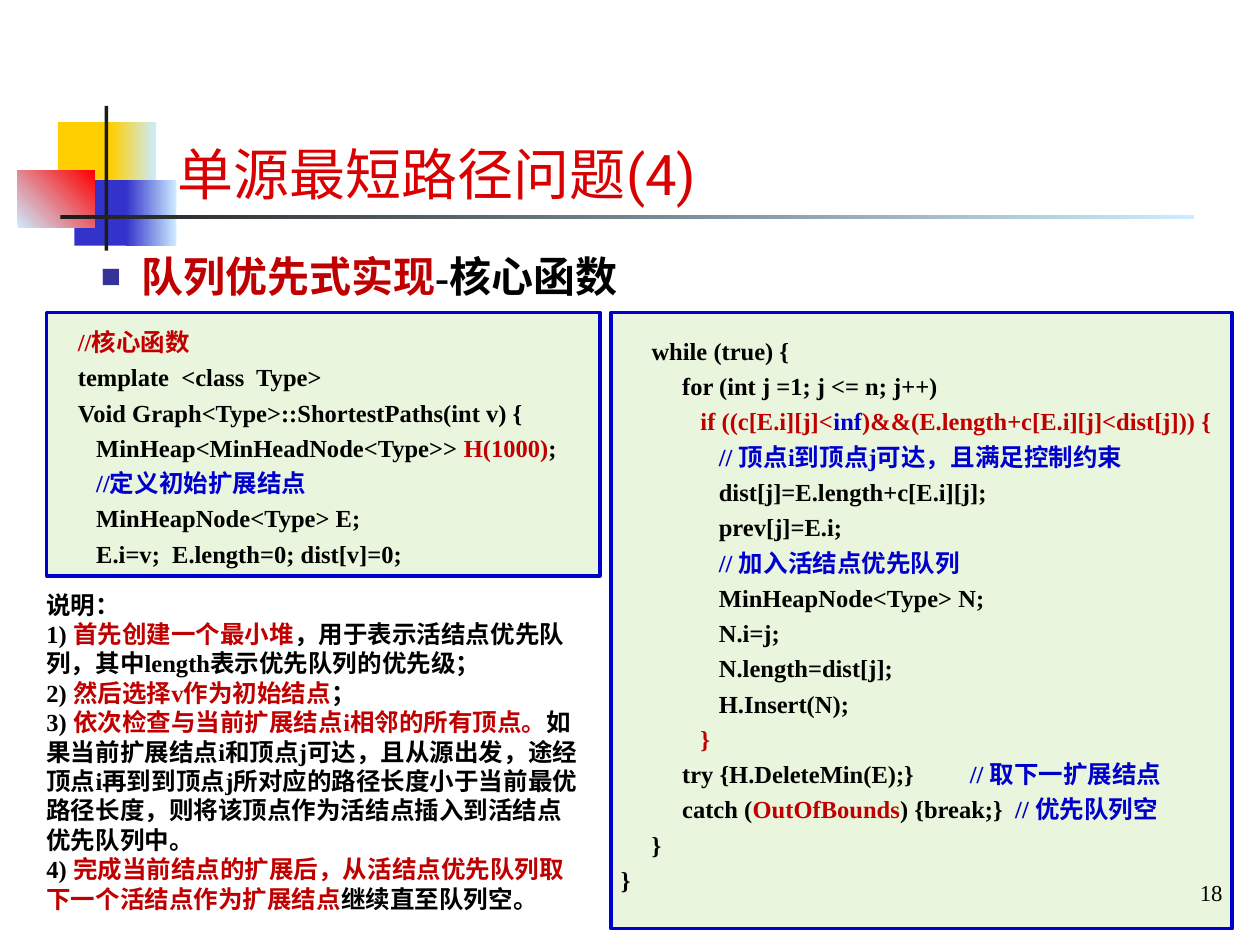
from dataclasses import dataclass
from typing import NamedTuple

from lxml import etree
from pptx import Presentation
from pptx.dml.color import RGBColor
from pptx.enum.lang import MSO_LANGUAGE_ID
from pptx.enum.shapes import MSO_SHAPE
from pptx.enum.text import MSO_ANCHOR, MSO_AUTO_SIZE, PP_ALIGN
from pptx.oxml.ns import qn
from pptx.util import Inches, Pt

RECTANGLE = MSO_SHAPE.RECTANGLE
CHINESE = MSO_LANGUAGE_ID.SIMPLIFIED_CHINESE
GROW, FIXED = MSO_AUTO_SIZE.SHAPE_TO_FIT_TEXT, MSO_AUTO_SIZE.NONE
MIDDLE, BOTTOM = MSO_ANCHOR.MIDDLE, MSO_ANCHOR.BOTTOM
LEFT, RIGHT = PP_ALIGN.LEFT, PP_ALIGN.RIGHT

BLACK = RGBColor(0x00, 0x00, 0x00)
CRIMSON = RGBColor(0xC0, 0x00, 0x00)
TITLE_RED = RGBColor(0xD8, 0x00, 0x00)
RED = RGBColor(0xFF, 0x00, 0x00)
BLUE = RGBColor(0x00, 0x00, 0xCC)
INDIGO = RGBColor(0x33, 0x33, 0xCC)
YELLOW = RGBColor(0xFF, 0xCF, 0x01)
SKY = RGBColor(0xCC, 0xEC, 0xFF)
CHARCOAL = RGBColor(0x1C, 0x1C, 0x1C)
GREEN = RGBColor(0x92, 0xD0, 0x50)

SERIF, SANS = "Times New Roman", "Roboto"
WIDTH, HEIGHT = Inches(10), Inches(7.5)
COLUMN, ROW = WIDTH // 100, HEIGHT // 75


class Area(NamedTuple):
    col: float
    row: float
    cols: float
    rows: float


class Span(NamedTuple):
    text: str
    color: RGBColor = BLACK


@dataclass(frozen=True)
class Block:
    area: Area
    start: RGBColor
    end: RGBColor | None = None
    angle: int = 0


@dataclass(frozen=True)
class TextStyle:
    size: int = 14
    bold: bool = True
    font: str = SERIF
    line_spacing: float = 1.0
    align: PP_ALIGN = LEFT


Lines = list[list[Span]]
CODE = TextStyle(line_spacing=1.2)
NOTES = TextStyle()

DECORATION = [
    Block(Area(4.6, 9.7, 4.8, 5.2), YELLOW),
    Block(Area(8.8, 9.7, 3.6, 5.2), YELLOW, SKY),
    Block(Area(5.9, 14.3, 4.6, 5.2), INDIGO),
    Block(Area(10, 14.3, 4, 5.2), INDIGO, SKY),
    Block(Area(1.4, 13.5, 6.1, 4.6), SKY, RED, 45),
    Block(Area(8.3, 8.4, 0.3, 11.5), CHARCOAL),
    Block(Area(4.8, 17.1, 90, 0.3), CHARCOAL, SKY),
]

SETUP_CODE: Lines = [
    [Span("//核心函数", CRIMSON)],
    [Span("template  <class  Type>")],
    [Span("Void Graph<Type>::ShortestPaths(int v) {")],
    [Span("   MinHeap<MinHeadNode<Type>> "), Span("H(1000)", CRIMSON), Span(";")],
    [Span("   //定义初始扩展结点", BLUE)],
    [Span("   MinHeapNode<Type> E;")],
    [Span("   E.i=v;  E.length=0; dist[v]=0;")],
]

LOOP_CODE: Lines = [
    [Span("     while (true) {")],
    [Span("          for (int j =1; j <= n; j++)")],
    [Span("             if ((c[E.i][j]<", CRIMSON), Span("inf", BLUE),
     Span(")&&(E.length+c[E.i][j]<dist[j])) {", CRIMSON)],
    [Span("                // 顶点i到顶点j可达，且满足控制约束", BLUE)],
    [Span("                dist[j]=E.length+c[E.i][j];")],
    [Span("                prev[j]=E.i;")],
    [Span("                // 加入活结点优先队列", BLUE)],
    [Span("                MinHeapNode<Type> N;")],
    [Span("                N.i=j;")],
    [Span("                N.length=dist[j];")],
    [Span("                H.Insert(N);")],
    [Span("             }", CRIMSON)],
    [Span("          try {H.DeleteMin(E);}        "), Span(" // 取下一扩展结点", BLUE)],
    [Span("          catch ("), Span("OutOfBounds", CRIMSON), Span(") {break;}  "),
     Span("// 优先队列空", BLUE)],
    [Span("     }")],
    [Span("}")],
]

EXPLANATION: Lines = [
    [Span("说明：")],
    [Span("1) "), Span("首先创建一个最小堆", CRIMSON),
     Span("，用于表示活结点优先队列，其中length表示优先队列的优先级；")],
    [Span("2) "), Span("然后选择v作为初始结点", CRIMSON), Span("；")],
    [Span("3) "), Span("依次检查与当前扩展结点i相邻的所有顶点。", CRIMSON),
     Span("如果当前扩展结点i和顶点j可达，且从源出发，途经顶点i再到到顶点j所对应的路径长度"
          "小于当前最优路径长度，则将该顶点作为活结点插入到活结点优先队列中。")],
    [Span("4) "), Span("完成当前结点的扩展后，从活结点优先队列取下一个活结点作为扩展结点", CRIMSON),
     Span("继续直至队列空。")],
]


def place(area: Area) -> tuple[int, int, int, int]:
    return (round(area.col * COLUMN), round(area.row * ROW),
            round(area.cols * COLUMN), round(area.rows * ROW))


def move(shape, area: Area) -> None:
    shape.left, shape.top, shape.width, shape.height = place(area)


def write(frame, lines: Lines, style: TextStyle) -> None:
    frame.word_wrap = True
    for index, line in enumerate(lines):
        paragraph = frame.add_paragraph() if index else frame.paragraphs[0]
        paragraph.alignment = style.align
        paragraph.line_spacing = style.line_spacing
        paragraph.space_before = Pt(0)
        for span in line:
            run = paragraph.add_run()
            run.text = span.text
            run.font.size = Pt(style.size)
            run.font.bold = style.bold
            run.font.name = style.font
            run.font.color.rgb = span.color
            run.font.language_id = CHINESE


def add_rectangle(slide, area: Area):
    shape = slide.shapes.add_shape(RECTANGLE, *place(area))
    shape.shadow.inherit = False
    return shape


def add_block(slide, block: Block) -> None:
    shape = add_rectangle(slide, block.area)
    shape.line.fill.background()
    if block.end is None:
        shape.fill.solid()
        shape.fill.fore_color.rgb = block.start
        return
    shape.fill.gradient()
    shape.fill.gradient_angle = block.angle
    for stop, color in zip(shape.fill.gradient_stops, (block.start, block.end)):
        stop.color.rgb = color


def add_panel(slide, area: Area) -> None:
    panel = add_rectangle(slide, area)
    panel.fill.solid()
    panel.fill.fore_color.rgb = GREEN
    tint = panel.element.spPr.find(qn("a:solidFill")).find(qn("a:srgbClr"))
    etree.SubElement(tint, qn("a:alpha"), val="20000")
    panel.line.color.rgb = BLUE
    panel.line.width = Pt(2)


def add_text(slide, area: Area, lines: Lines, style: TextStyle):
    frame = slide.shapes.add_textbox(*place(area)).text_frame
    write(frame, lines, style)
    frame.auto_size = GROW
    return frame


def add_square_bullet(paragraph) -> None:
    properties = paragraph._p.get_or_add_pPr()
    properties.set("marL", str(Inches(0.32)))
    properties.set("indent", str(-Inches(0.32)))
    bullet_color = etree.SubElement(properties, qn("a:buClr"))
    etree.SubElement(bullet_color, qn("a:srgbClr"), val="333399")
    etree.SubElement(properties, qn("a:buSzPct"), val="80000")
    etree.SubElement(properties, qn("a:buChar"), char="■")


def main() -> None:
    deck = Presentation()
    deck.slide_width, deck.slide_height = WIDTH, HEIGHT
    slide = deck.slides.add_slide(deck.slide_layouts[1])
    title, topic = slide.placeholders

    for block in DECORATION:
        add_block(slide, block)

    move(title, Area(13.1, 6, 84.2, 10.9))
    write(title.text_frame, [[Span("单源最短路径问题(4)", TITLE_RED)]],
          TextStyle(32, False, SANS))
    title.text_frame.vertical_anchor = BOTTOM
    title.text_frame.auto_size = FIXED

    move(topic, Area(7, 19.4, 90.2, 5))
    add_square_bullet(topic.text_frame.paragraphs[0])
    write(topic.text_frame, [[Span("队列优先式实现", CRIMSON), Span("-核心函数")]],
          TextStyle(24))
    topic.text_frame.auto_size = GROW

    add_panel(slide, Area(48.5, 24.8, 49.3, 48.9))
    add_text(slide, Area(48.3, 25.7, 49.6, 45.8), LOOP_CODE, CODE)
    add_panel(slide, Area(3.7, 24.8, 43.9, 20.9))
    add_text(slide, Area(5.2, 25, 40.4, 20.6), SETUP_CODE, CODE)
    add_text(slide, Area(2.7, 46.3, 44.8, 26.7), EXPLANATION, NOTES)

    page_number = add_text(slide, Area(78.9, 69, 19.1, 3.7), [[Span("18")]],
                           TextStyle(13, False, align=RIGHT))
    page_number.vertical_anchor = MIDDLE
    deck.save("out.pptx")


if __name__ == "__main__":
    main()
